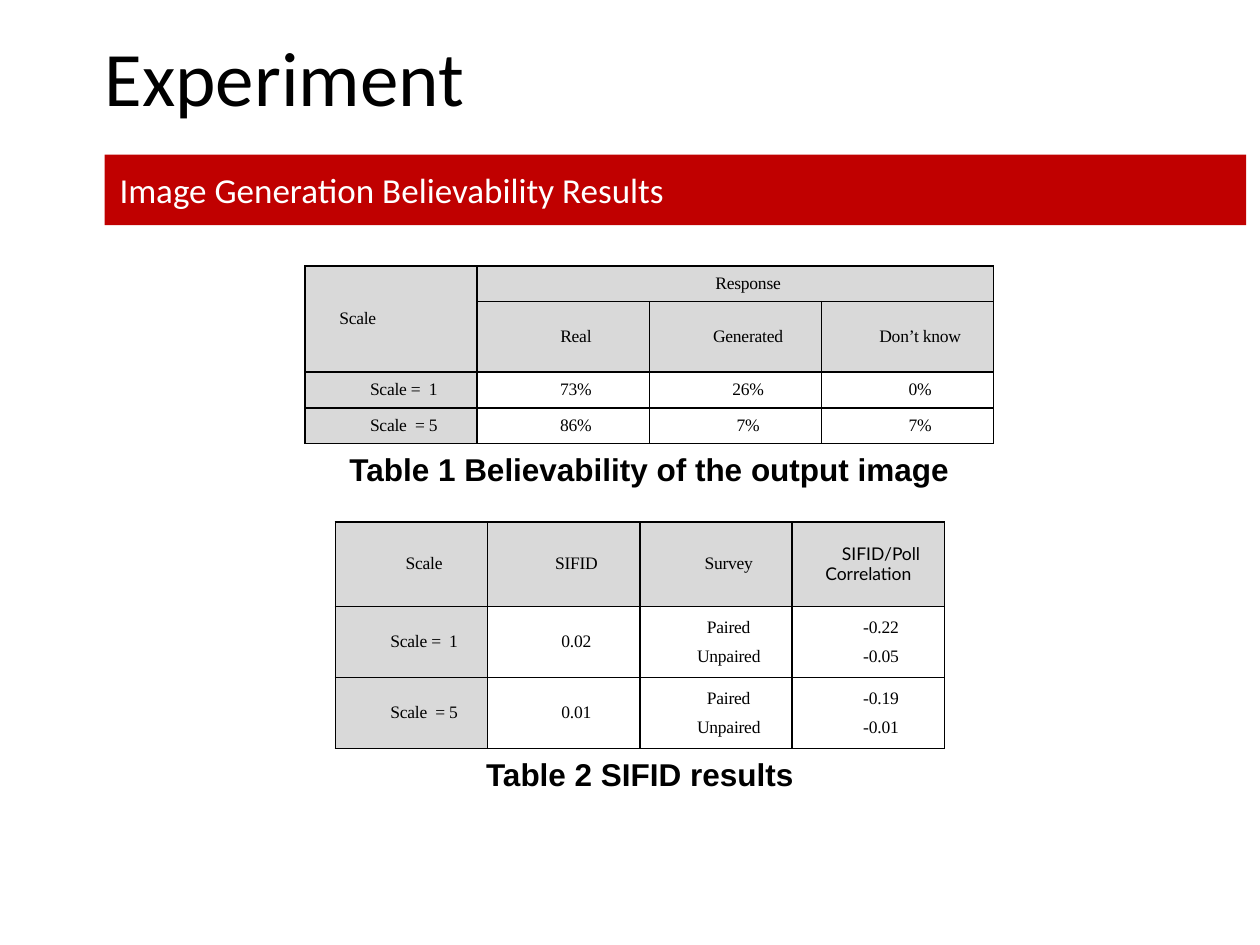
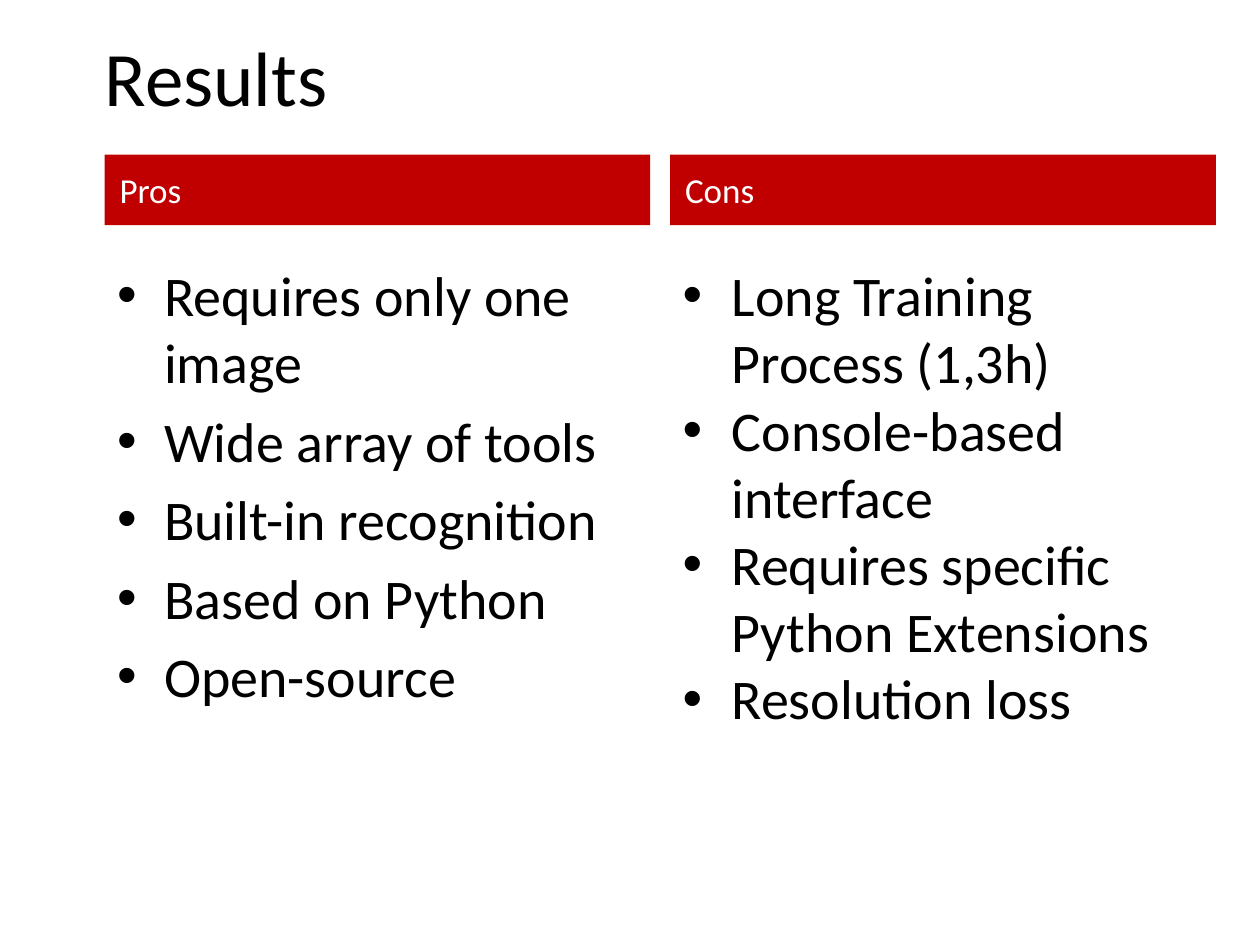
"""Build two slides on image generation: experiment tables, then pros and cons."""
from dataclasses import dataclass
from itertools import product

from lxml.etree import SubElement
from pptx import Presentation
from pptx.dml.color import RGBColor
from pptx.enum.shapes import MSO_SHAPE
from pptx.enum.text import MSO_ANCHOR, MSO_AUTO_SIZE, PP_ALIGN
from pptx.oxml.ns import qn
from pptx.slide import Slide
from pptx.table import _Cell
from pptx.text.text import TextFrame
from pptx.util import Cm, Pt


@dataclass(frozen=True)
class Theme:
    ink: str = "000000"
    paper: str = "FFFFFF"
    red: str = "C00000"
    grey: str = "D9D9D9"
    sans: str = "Calibri"
    serif: str = "Times New Roman"
    label: str = "Arial"
    accent: str = "Lato"
    title: int = 44
    band: int = 20
    body: int = 32
    note: int = 18
    cell: int = 10


@dataclass(frozen=True)
class Grid:
    left: float
    top: float
    width: float
    heights: tuple[float, ...]
    rows: tuple[tuple[str, ...], ...]
    caption: str
    heads: int = 1
    merges: tuple[tuple[int, int, int, int], ...] = ()
    corner: PP_ALIGN = PP_ALIGN.CENTER
    accent: str = ""


@dataclass(frozen=True)
class Column:
    head: str
    points: tuple[str, ...]
    height: float
    hang: float
    gap: float


THEME = Theme()
EDGE = 2.11
BAND_TOP = 3.12
BAND_HIGH = 1.42
LIST_TOP = 5.13
COLUMN = 11.0
PITCH = 11.4

GRIDS = (
    Grid(6.15, 5.36, 3.47, (0.72, 1.42, 0.72, 0.72), (
        ("Scale", "Response", "", ""),
        ("", "Real", "Generated", "Don’t know"),
        ("Scale =  1", "73%", "26%", "0%"),
        ("Scale  = 5", "86%", "7%", "7%"),
    ), "Table 1 Believability of the output image", heads=2,
        merges=((0, 0, 1, 0), (0, 1, 0, 3)), corner=PP_ALIGN.LEFT),
    Grid(6.76, 10.52, 3.07, (1.71, 1.43, 1.43), (
        ("Scale", "SIFID", "Survey", "SIFID/Poll Correlation"),
        ("Scale =  1", "0.02", "Paired\nUnpaired", "-0.22\n-0.05"),
        ("Scale  = 5", "0.01", "Paired\nUnpaired", "-0.19\n-0.01"),
    ), "Table 2 SIFID results", accent="SIFID/Poll Correlation"),
)

COLUMNS = (
    Column("Pros", (
        "Requires only one image", "Wide array of tools", "Built-in recognition",
        "Based on Python", "Open-source",
    ), 13.79, 0.95, 6.4),
    Column("Cons", (
        "Long Training Process (1,3h)", "Console-based interface",
        "Requires specific Python Extensions", "Resolution loss",
    ), 10.59, 0.99, 0),
)


def write(frame: TextFrame, text: str, *, size: int, font: str = THEME.sans,
          color: str = THEME.ink, bold: bool = False,
          align: PP_ALIGN = PP_ALIGN.LEFT, line: float = 1.0,
          before: float = 0, after: float = 0, margin: float = 0,
          indent: float = 0, bullet: str = "", track: int = 0) -> None:
    """Write each line of text as a paragraph in one format."""
    for count, part in enumerate(text.split("\n")):
        para = frame.add_paragraph() if count else frame.paragraphs[0]
        para.alignment = align
        para.line_spacing = line
        para.space_before = Pt(before if count else 0)
        para.space_after = Pt(after)
        props = para._p.get_or_add_pPr()
        props.set("marL", str(Cm(margin)))
        props.set("indent", str(Cm(indent)))
        if bullet:
            SubElement(props, qn("a:buFont"), typeface=THEME.label)
            SubElement(props, qn("a:buChar"), char=bullet)
        run = para.add_run()
        run.text = part
        run.font.size = Pt(size)
        run.font.name = font
        run.font.bold = bold
        run.font.color.rgb = RGBColor.from_string(color)
        if track:
            run._r.get_or_add_rPr().set("spc", str(track))


def start(deck: Presentation, title: str) -> Slide:
    """Add a slide and set its title."""
    slide = deck.slides.add_slide(deck.slide_layouts[5])
    head = slide.shapes.title
    head.left, head.top, head.width, head.height = (
        Cm(EDGE), Cm(0.33), Cm(22.96), Cm(2.39))
    frame = head.text_frame
    frame.margin_left = 0
    frame.auto_size = MSO_AUTO_SIZE.NONE
    frame.vertical_anchor = MSO_ANCHOR.MIDDLE
    write(frame, title, size=THEME.title)
    return slide


def add_band(slide: Slide, text: str, left: float, width: float) -> None:
    """Draw a red band with its heading."""
    band = slide.shapes.add_shape(
        MSO_SHAPE.RECTANGLE, Cm(left), Cm(BAND_TOP), Cm(width), Cm(BAND_HIGH))
    band.shadow.inherit = False
    band.fill.solid()
    band.fill.fore_color.rgb = RGBColor.from_string(THEME.red)
    band.line.fill.background()
    frame = band.text_frame
    frame.word_wrap = True
    frame.vertical_anchor = MSO_ANCHOR.MIDDLE
    frame.margin_left = frame.margin_right = Cm(0.3)
    write(frame, text, size=THEME.band, color=THEME.paper)


def add_text(slide: Slide, text: str, left: float, top: float,
             width: float, height: float, **style) -> None:
    """Add a wrapped text box in the given style."""
    box = slide.shapes.add_textbox(Cm(left), Cm(top), Cm(width), Cm(height))
    box.text_frame.word_wrap = True
    write(box.text_frame, text, **style)


def dress(cell: _Cell, fill: str) -> None:
    """Set the borders, margins and fill of a cell."""
    props = cell._tc.get_or_add_tcPr()
    for side in ("a:lnL", "a:lnR", "a:lnT", "a:lnB"):
        line = SubElement(props, qn(side), w=str(Pt(1)))
        SubElement(SubElement(line, qn("a:solidFill")), qn("a:srgbClr"), val=THEME.ink)
    cell.margin_left = cell.margin_right = Cm(0.18)
    cell.margin_top = cell.margin_bottom = 0
    cell.vertical_anchor = MSO_ANCHOR.MIDDLE
    cell.fill.solid()
    cell.fill.fore_color.rgb = RGBColor.from_string(fill)


def add_grid(slide: Slide, grid: Grid) -> None:
    """Draw a table and its caption."""
    count = len(grid.rows[0])
    width, height = grid.width * count, sum(grid.heights)
    table = slide.shapes.add_table(
        len(grid.rows), count, Cm(grid.left), Cm(grid.top), Cm(width), Cm(height)).table
    table.first_row = table.horz_banding = False
    for column in table.columns:
        column.width = Cm(grid.width)
    for row, high in zip(table.rows, grid.heights):
        row.height = Cm(high)
    for top, left, low, right in grid.merges:
        table.cell(top, left).merge(table.cell(low, right))
    for row, col in product(range(len(grid.rows)), range(count)):
        cell, text = table.cell(row, col), grid.rows[row][col]
        dress(cell, THEME.grey if row < grid.heads or col == 0 else THEME.paper)
        if not cell.is_spanned:
            accent = text == grid.accent
            write(cell.text_frame, text, size=THEME.cell,
                  font=THEME.accent if accent else THEME.serif,
                  track=0 if accent else -10,
                  align=PP_ALIGN.CENTER if row or col else grid.corner,
                  line=0.95, after=6, indent=0.51)
    add_text(slide, grid.caption, grid.left, grid.top + height, width, 1.02,
             size=THEME.note, font=THEME.label, bold=True, align=PP_ALIGN.CENTER)


def main() -> None:
    """Build and save the deck."""
    deck = Presentation()
    deck.slide_width, deck.slide_height = Cm(25.4), Cm(19.05)

    slide = start(deck, "Experiment")
    add_band(slide, "Image Generation Believability Results", EDGE, 23.01)
    for grid in GRIDS:
        add_grid(slide, grid)

    slide = start(deck, "Results")
    for place, column in enumerate(COLUMNS):
        left = EDGE + place * PITCH
        add_band(slide, column.head, left, COLUMN)
        add_text(slide, "\n".join(column.points), left, LIST_TOP, COLUMN, column.height,
                 size=THEME.body, before=column.gap, bullet="•",
                 margin=column.hang, indent=-column.hang)

    deck.save("out.pptx")


if __name__ == "__main__":
    main()
